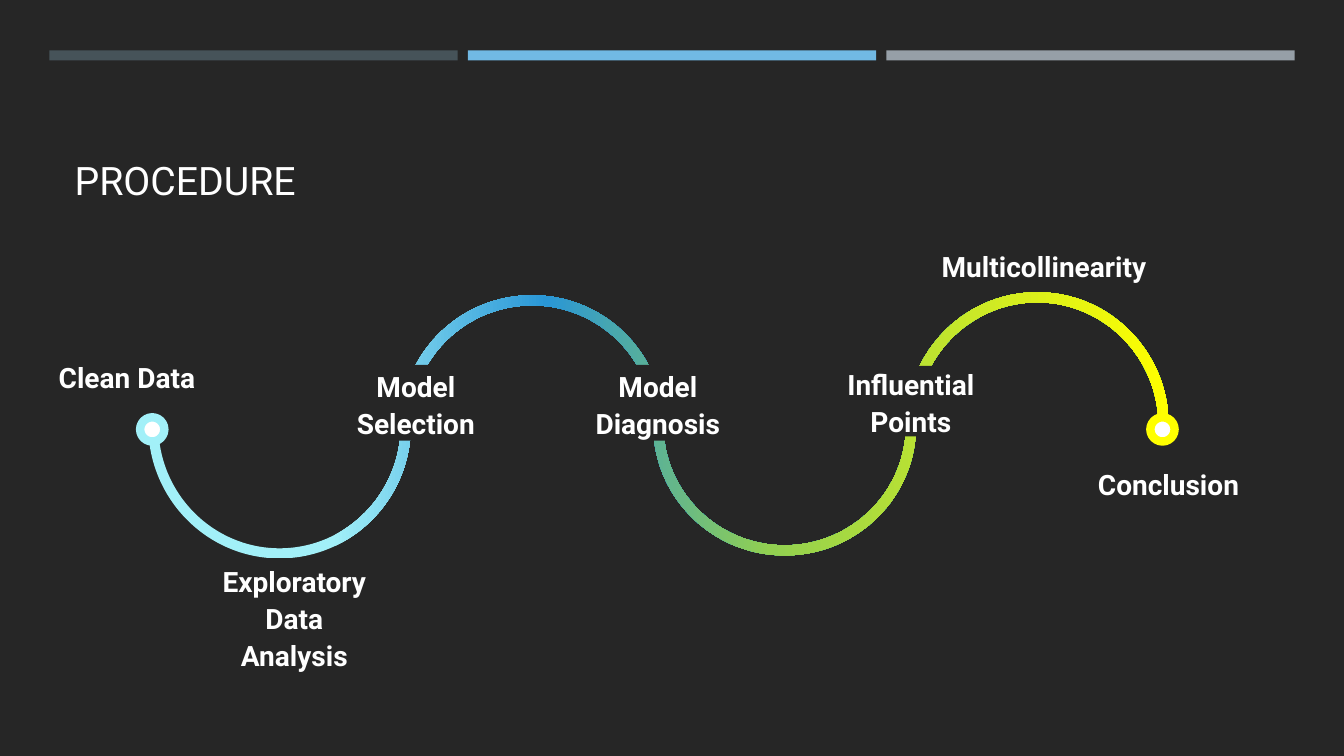
"""Build the procedure slide: a winding gradient path with labelled stages."""
from dataclasses import dataclass

from lxml.etree import SubElement
from pptx import Presentation
from pptx.dml.color import RGBColor
from pptx.enum.shapes import MSO_SHAPE as Preset
from pptx.enum.text import MSO_ANCHOR as Anchor, MSO_AUTO_SIZE as AutoSize, PP_ALIGN as Align
from pptx.oxml.ns import qn
from pptx.shapes.autoshape import Shape
from pptx.slide import Slide
from pptx.text.text import TextFrame
from pptx.util import Inches, Pt

BACKDROP, WHITE, CYAN, YELLOW = "262626", "FFFFFF", "A2F0F8", "FFFF00"
BAR_COLORS = ("465359", "71B9E4", "969FA7")
PATH_STOPS = ((18, CYAN), (39, "2996D6"), (61, "92D050"), (100, YELLOW))
PATH_LEFT, PATH_RIGHT, PATH_MIDDLE, HALF_WIDTH = 1.52, 11.54, 4.22, 0.05
ARC_HEIGHTS = (1.27, 1.24, 1.24, 1.27)
ARC_RADIUS = (PATH_RIGHT - PATH_LEFT) / (2 * len(ARC_HEIGHTS))
BEND = 4 * (2 ** 0.5 - 1) / 3
ARC_CURVE = ((-1, BEND), (-BEND, 1), (0, 1), (BEND, 1), (1, BEND), (1, 0))


@dataclass(frozen=True)
class Box:
    left: float
    top: float
    width: float
    height: float


@dataclass(frozen=True)
class Stage:
    text: str
    box: Box


STAGES = (
    Stage("Clean Data", Box(0.28, 3.47, 1.96, 0.51)),
    Stage("Exploratory Data Analysis", Box(1.88, 5.63, 2.08, 0.97)),
    Stage("Model Selection", Box(3.27, 3.62, 1.71, 0.75)),
    Stage("Model Diagnosis", Box(5.73, 3.62, 1.59, 0.75)),
    Stage("Multicollinearity", Box(8.98, 2.41, 2.75, 0.43)),
    Stage("Conclusion", Box(10.52, 4.53, 2.14, 0.52)),
    Stage("Influential Points", Box(8.18, 3.63, 1.71, 0.7)),
)


def color(code: str) -> RGBColor:
    return RGBColor.from_string(code)


def assign(target: object, values: dict) -> None:
    for name, value in values.items():
        setattr(target, name, value)


def add_solid(slide: Slide, preset: Preset, box: Box, fill: str) -> Shape:
    solid = slide.shapes.add_shape(
        preset, Inches(box.left), Inches(box.top), Inches(box.width), Inches(box.height)
    )
    solid.shadow.inherit = False
    solid.fill.solid()
    solid.fill.fore_color.rgb = color(fill)
    solid.line.fill.background()
    return solid


def write(frame: TextFrame, text: str, anchor: Anchor, font: dict, layout: dict) -> None:
    assign(frame, {"text": text, "word_wrap": True, "auto_size": AutoSize.NONE,
                   "vertical_anchor": anchor})
    paragraph = frame.paragraphs[0]
    assign(paragraph, layout)
    run_font = paragraph.runs[0].font
    assign(run_font, {"name": "Roboto", **font})
    run_font.color.rgb = color(WHITE)


def add_title(slide: Slide) -> None:
    title = slide.shapes.title
    assign(title, {"left": Inches(0.64), "top": Inches(0.77),
                   "width": Inches(12.06), "height": Inches(1.3)})
    write(title.text_frame, "PROCEDURE", Anchor.BOTTOM, {"size": Pt(28)},
          {"alignment": Align.LEFT})


def path_edge(offset: float) -> list[tuple[int, int]]:
    points = [(Inches(PATH_LEFT - offset), Inches(PATH_MIDDLE))]
    for index, height in enumerate(ARC_HEIGHTS):
        side = 1 if index % 2 == 0 else -1
        center = PATH_LEFT + ARC_RADIUS * (2 * index + 1)
        for across, down in ARC_CURVE:
            x = center + (ARC_RADIUS + side * offset) * across
            y = PATH_MIDDLE + side * (height + side * offset) * down
            points.append((Inches(x), Inches(y)))
    return points


def bend_lines(winding: Shape, edge_steps: int) -> None:
    lines = list(winding.element.iter(qn("a:lnTo")))
    for edge_start in (0, edge_steps + 1):
        for first in range(edge_start, edge_start + edge_steps, 3):
            outline = lines[first].getparent()
            curve = SubElement(outline, qn("a:cubicBezTo"))
            lines[first].addprevious(curve)
            for line in lines[first:first + 3]:
                curve.append(line[0])
                outline.remove(line)


def add_path(slide: Slide) -> None:
    outer, inner = path_edge(HALF_WIDTH), path_edge(-HALF_WIDTH)
    builder = slide.shapes.build_freeform(*outer[0])
    builder.add_line_segments(outer[1:] + inner[::-1], close=True)
    winding = builder.convert_to_shape()
    bend_lines(winding, len(outer) - 1)
    winding.shadow.inherit = False
    winding.line.fill.background()
    winding.fill.gradient()
    winding.fill.gradient_angle = 0
    stops = winding.element.spPr.find(qn("a:gradFill")).find(qn("a:gsLst"))
    stops.clear()
    for position, code in PATH_STOPS:
        stop = SubElement(stops, qn("a:gs"), pos=str(position * 1000))
        SubElement(stop, qn("a:srgbClr"), val=code)


def add_endpoint(slide: Slide, left: float, ring: str) -> None:
    endpoint = add_solid(slide, Preset.OVAL, Box(left, 4.14, 0.24, 0.24), WHITE)
    endpoint.line.color.rgb = color(ring)
    endpoint.line.width = Pt(6)


def add_stage(slide: Slide, stage: Stage) -> None:
    label = add_solid(slide, Preset.FLOWCHART_TERMINATOR, stage.box, BACKDROP)
    write(label.text_frame, stage.text, Anchor.MIDDLE, {"size": Pt(20), "bold": True},
          {"alignment": Align.CENTER, "line_spacing": 1.1, "space_after": Pt(6)})


def main() -> None:
    deck = Presentation()
    assign(deck, {"slide_width": Inches(13.33), "slide_height": Inches(7.5)})
    slide = deck.slides.add_slide(deck.slide_layouts[5])
    slide.background.fill.solid()
    slide.background.fill.fore_color.rgb = color(BACKDROP)
    for index, code in enumerate(BAR_COLORS):
        add_solid(slide, Preset.RECTANGLE, Box(0.49 + 4.15 * index, 0.5, 4.05, 0.1), code)
    add_title(slide)
    add_path(slide)
    for left, ring in ((1.39, CYAN), (11.41, YELLOW)):
        add_endpoint(slide, left, ring)
    for stage in STAGES:
        add_stage(slide, stage)
    deck.save("out.pptx")


if __name__ == "__main__":
    main()
